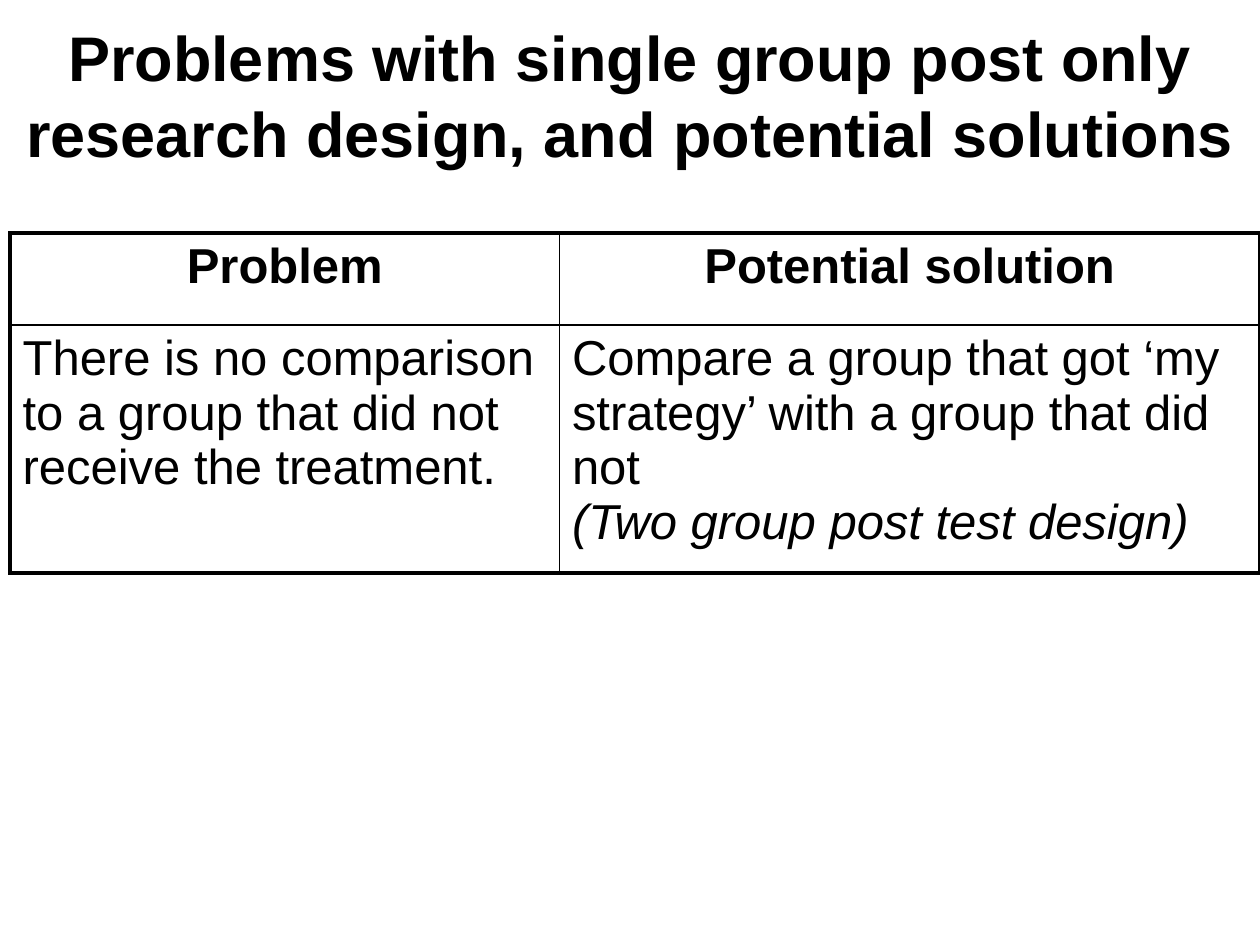
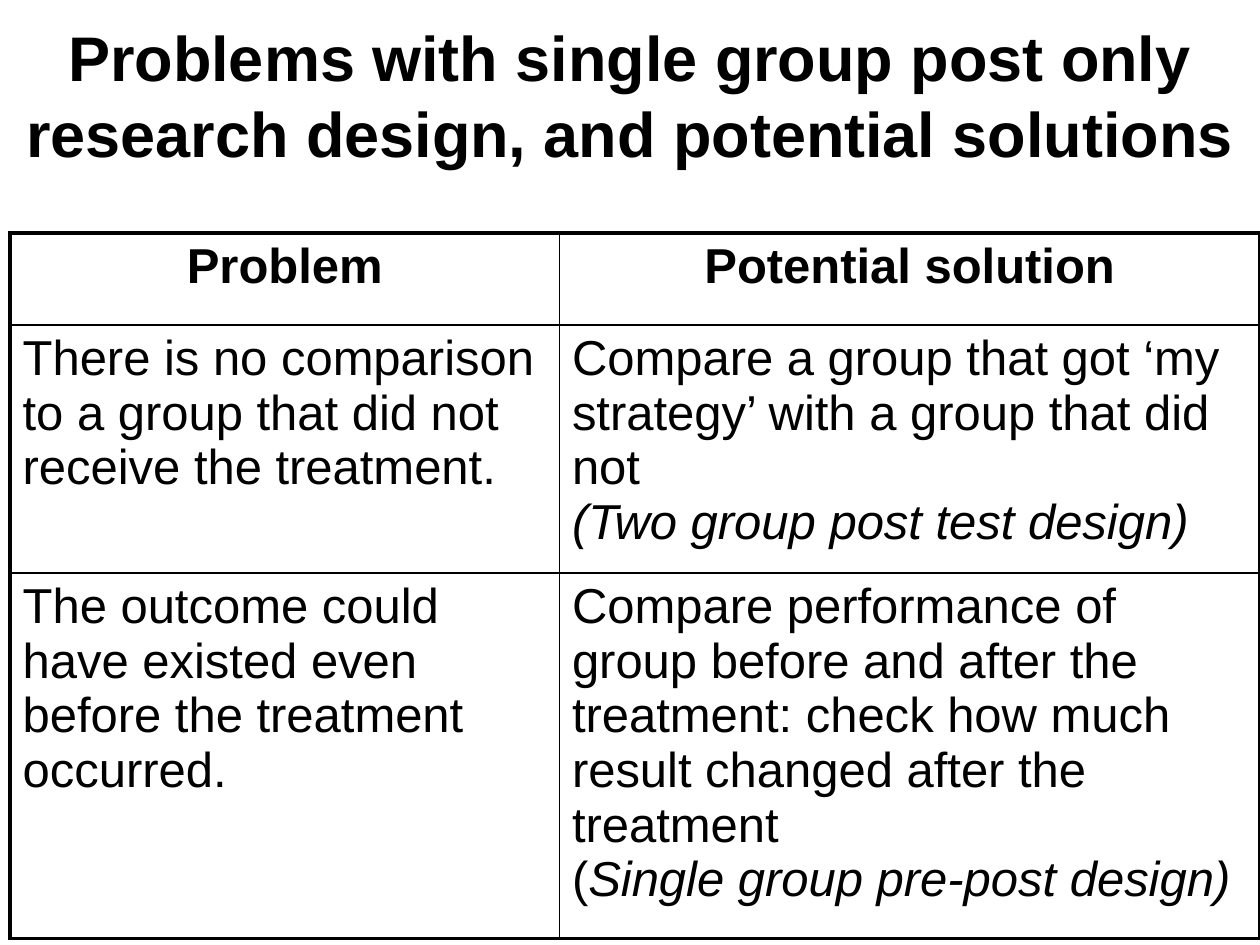
from dataclasses import dataclass

from lxml import etree
from pptx import Presentation
from pptx.dml.color import RGBColor
from pptx.enum import text
from pptx.oxml import ns
from pptx.util import Inches, Pt

COLOURS = {"ink": "000000", "paper": "FFFFFF"}
FONT = "Arial"
TITLE = "Problems with single group post only research design, and potential solutions"
COLUMN_WIDTHS = (4.36, 5.56)
TABLE_LEFT, TABLE_TOP = 0.08, 1.85
OUTER_LINE, INNER_LINE = 2.25, 1


@dataclass(frozen=True)
class Phrase:
    words: str
    bold: bool = False
    italic: bool = False


@dataclass(frozen=True)
class Line:
    phrases: tuple[Phrase, ...]
    centred: bool = False
    hanging: float = 0


@dataclass(frozen=True)
class Row:
    height: float
    cells: tuple[tuple[Line, ...], ...]


def heading(words: str) -> Line:
    return Line((Phrase(words, bold=True),), centred=True)


def plain(*lines: str, hanging: float = 0) -> tuple[Line, ...]:
    return tuple(Line((Phrase(words),), hanging=hanging) for words in lines)


HEADER = Row(0.73, ((heading("Problem"),), (heading("Potential solution"),)))
NO_COMPARISON = Row(1.83, (
    plain("There is no comparison", "to a group that did not",
          "receive the treatment.", hanging=0.48),
    plain("Compare a group that got ‘my strategy’ with a group that did not")
    + (Line((Phrase("(Two group post test design)", italic=True),)),),
))
EXISTING_OUTCOME = Row(2.7, (
    plain("The outcome could", "have existed even", "before the treatment", "occurred."),
    plain("Compare performance of group before and after the treatment: "
          "check how much result changed after the treatment")
    + (Line((Phrase("("), Phrase("Single group pre-post design)", italic=True))),),
))


def write_lines(frame, lines: tuple[Line, ...], size: float) -> None:
    frame.word_wrap = True
    for index, line in enumerate(lines):
        paragraph = frame.add_paragraph() if index else frame.paragraphs[0]
        paragraph.alignment = text.PP_ALIGN.CENTER if line.centred else text.PP_ALIGN.LEFT
        if line.hanging:
            properties = paragraph._p.get_or_add_pPr()
            properties.set("marL", str(Inches(line.hanging)))
            properties.set("indent", str(Inches(-line.hanging)))
        for phrase in line.phrases:
            run = paragraph.add_run()
            run.text = phrase.words
            run.font.name = FONT
            run.font.size = Pt(size)
            run.font.bold = phrase.bold
            run.font.italic = phrase.italic
            run.font.color.rgb = RGBColor.from_string(COLOURS["ink"])


def add_title(slide) -> None:
    box = slide.shapes.add_textbox(Inches(0), Inches(0.25), Inches(10), Inches(1))
    box.text_frame.vertical_anchor = text.MSO_ANCHOR.MIDDLE
    write_lines(box.text_frame, (heading(TITLE),), 36)


def set_borders(cell, outer_sides: dict[str, bool]) -> None:
    properties = cell._tc.get_or_add_tcPr()
    for side, is_outer in outer_sides.items():
        border = etree.SubElement(properties, ns.qn(f"a:ln{side}"))
        border.set("w", str(Pt(OUTER_LINE if is_outer else INNER_LINE)))
        fill = etree.SubElement(border, ns.qn("a:solidFill"))
        etree.SubElement(fill, ns.qn("a:srgbClr")).set("val", COLOURS["ink"])


def add_problem_table(slide, rows: tuple[Row, ...]) -> None:
    frame = slide.shapes.add_table(
        len(rows), len(COLUMN_WIDTHS), Inches(TABLE_LEFT), Inches(TABLE_TOP),
        Inches(sum(COLUMN_WIDTHS)), Inches(sum(row.height for row in rows)))
    table = frame.table
    table.first_row = table.horz_banding = False
    for column, width in zip(table.columns, COLUMN_WIDTHS):
        column.width = Inches(width)
    for row_index, row in enumerate(rows):
        table.rows[row_index].height = Inches(row.height)
        for column_index, lines in enumerate(row.cells):
            cell = table.cell(row_index, column_index)
            set_borders(cell, {
                "L": column_index == 0,
                "R": column_index == len(COLUMN_WIDTHS) - 1,
                "T": row_index == 0,
                "B": row_index == len(rows) - 1,
            })
            cell.fill.background()
            write_lines(cell.text_frame, lines, 28)


def add_problem_slide(presentation, rows: tuple[Row, ...]) -> None:
    slide = presentation.slides.add_slide(presentation.slide_layouts[6])
    slide.background.fill.solid()
    slide.background.fill.fore_color.rgb = RGBColor.from_string(COLOURS["paper"])
    add_title(slide)
    add_problem_table(slide, rows)


def main() -> None:
    presentation = Presentation()
    presentation.slide_width, presentation.slide_height = Inches(10), Inches(7.5)
    add_problem_slide(presentation, (HEADER, NO_COMPARISON))
    add_problem_slide(presentation, (HEADER, NO_COMPARISON, EXISTING_OUTCOME))
    presentation.save("out.pptx")


main()
